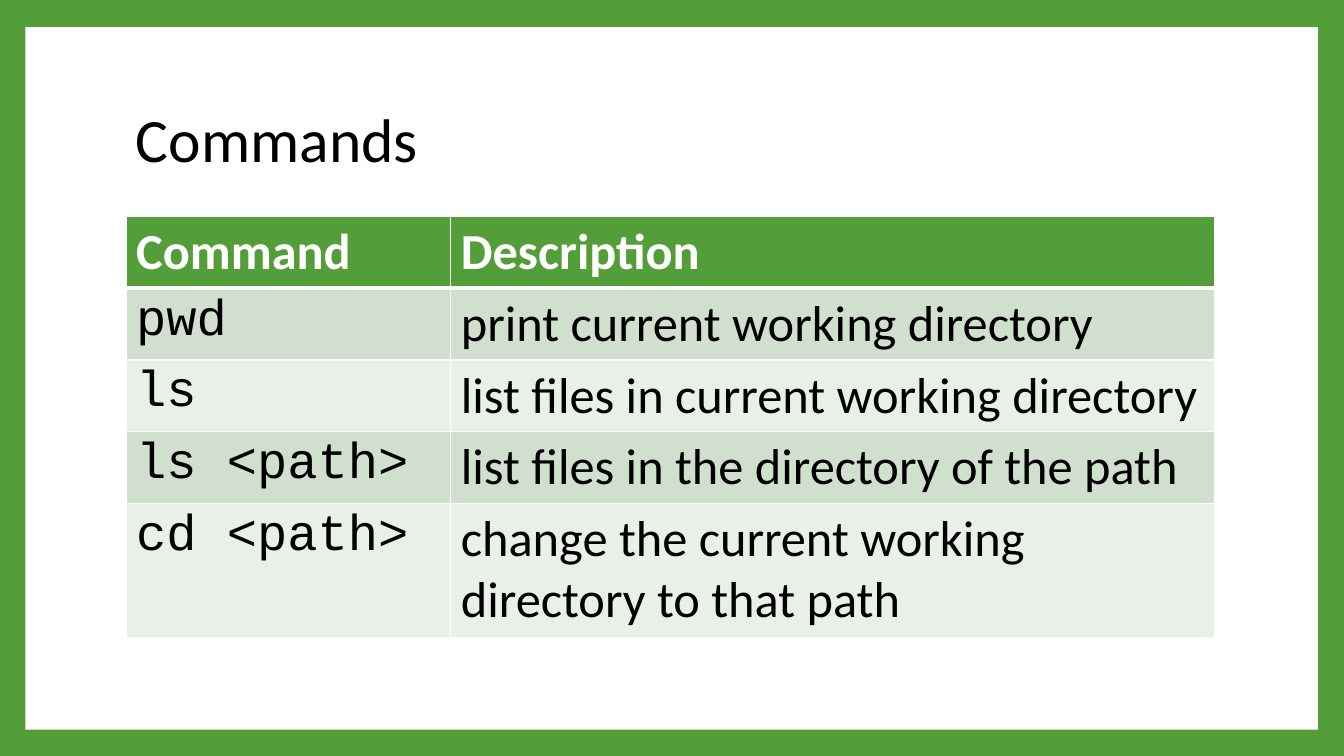
"""Build a slide with a table of shell commands."""
from dataclasses import dataclass

from lxml.etree import SubElement
from pptx import Presentation
from pptx.dml.color import RGBColor
from pptx.enum.shapes import MSO_SHAPE
from pptx.enum.text import MSO_ANCHOR
from pptx.oxml.ns import qn
from pptx.util import Inches, Length, Pt

SLIDE_WIDTH, SLIDE_HEIGHT = Inches(13.33), Inches(7.5)


@dataclass(frozen=True)
class Theme:
    green: str = "549E39"
    white: str = "FFFFFF"
    black: str = "000000"
    bands: tuple[str, str] = ("D1DFCE", "E9F0E8")
    text_font: str = "Calibri"
    code_font: str = "Courier New"
    title_size: int = 44
    table_size: int = 36
    thin_line: int = 1
    header_line: int = 3


@dataclass(frozen=True)
class Area:
    """Position and size in percent of the slide."""
    left: float
    top: float
    width: float
    height: float

    def lengths(self) -> tuple[Length, ...]:
        return (across(self.left), down(self.top), across(self.width), down(self.height))


@dataclass(frozen=True)
class Command:
    name: str
    description: str


THEME = Theme()
PANEL = Area(1.88, 3.6, 96.17, 92.93)
TITLE = Area(9.38, 8.93, 81.02, 19.73)
TABLE = Area(9.38, 28.67, 81.02, 55.61)
COLUMN_WIDTHS = (24.16, 56.86)
ROW_HEIGHTS = (9.47, 9.47, 9.47, 9.47, 17.73)
HEADER = Command("Command", "Description")
COMMANDS = (
    Command("pwd", "print current working directory"),
    Command("ls", "list files in current working directory"),
    Command("ls <path>", "list files in the directory of the path"),
    Command("cd <path>", "change the current working directory to that path"),
)


def across(percent: float) -> Length:
    return Length(round(SLIDE_WIDTH * percent / 100))


def down(percent: float) -> Length:
    return Length(round(SLIDE_HEIGHT * percent / 100))


def write(text_frame, text: str, color: str, **font_format) -> None:
    paragraph = text_frame.paragraphs[0]
    run = paragraph.add_run()
    run.text = text
    for name, value in font_format.items():
        setattr(run.font, name, value)
    run.font.color.rgb = RGBColor.from_string(color)


def paint(fill, color: str) -> None:
    fill.solid()
    fill.fore_color.rgb = RGBColor.from_string(color)


def add_borders(cell, top: int, bottom: int) -> None:
    properties = cell._tc.get_or_add_tcPr()
    widths = {"lnL": THEME.thin_line, "lnR": THEME.thin_line, "lnT": top, "lnB": bottom}
    for side, width in widths.items():
        line = SubElement(properties, qn(f"a:{side}"), w=str(Pt(width)))
        fill = SubElement(line, qn("a:solidFill"))
        SubElement(fill, qn("a:srgbClr"), val=THEME.white)


def add_panel(slide) -> None:
    paint(slide.background.fill, THEME.green)
    panel = slide.shapes.add_shape(MSO_SHAPE.RECTANGLE, *PANEL.lengths())
    panel.shadow.inherit = False
    paint(panel.fill, THEME.white)
    panel.line.fill.background()


def add_title(slide, text: str) -> None:
    text_frame = slide.shapes.add_textbox(*TITLE.lengths()).text_frame
    for name, value in {"word_wrap": True, "vertical_anchor": MSO_ANCHOR.MIDDLE}.items():
        setattr(text_frame, name, value)
    text_frame.paragraphs[0].line_spacing = 0.9
    write(text_frame, text, THEME.black, name=THEME.text_font, size=Pt(THEME.title_size))


def add_command_table(slide) -> None:
    rows = (HEADER, *COMMANDS)
    table = slide.shapes.add_table(len(rows), len(COLUMN_WIDTHS), *TABLE.lengths()).table
    for column, width in zip(table.columns, COLUMN_WIDTHS):
        column.width = across(width)
    for row, height in zip(table.rows, ROW_HEIGHTS):
        row.height = down(height)
    for row_index, command in enumerate(rows):
        is_header = row_index == 0
        top = THEME.header_line if row_index == 1 else THEME.thin_line
        bottom = THEME.header_line if is_header else THEME.thin_line
        background = THEME.green if is_header else THEME.bands[(row_index - 1) % 2]
        name_font = THEME.text_font if is_header else THEME.code_font
        texts = ((command.name, name_font), (command.description, THEME.text_font))
        for column_index, (text, font) in enumerate(texts):
            cell = table.cell(row_index, column_index)
            add_borders(cell, top, bottom)
            paint(cell.fill, background)
            write(cell.text_frame, text, THEME.white if is_header else THEME.black,
                  name=font, size=Pt(THEME.table_size), bold=is_header)


def main() -> None:
    presentation = Presentation()
    for name, value in {"slide_width": SLIDE_WIDTH, "slide_height": SLIDE_HEIGHT}.items():
        setattr(presentation, name, value)
    slide = presentation.slides.add_slide(presentation.slide_layouts[6])
    add_panel(slide)
    add_title(slide, "Commands")
    add_command_table(slide)
    presentation.save("out.pptx")


if __name__ == "__main__":
    main()
